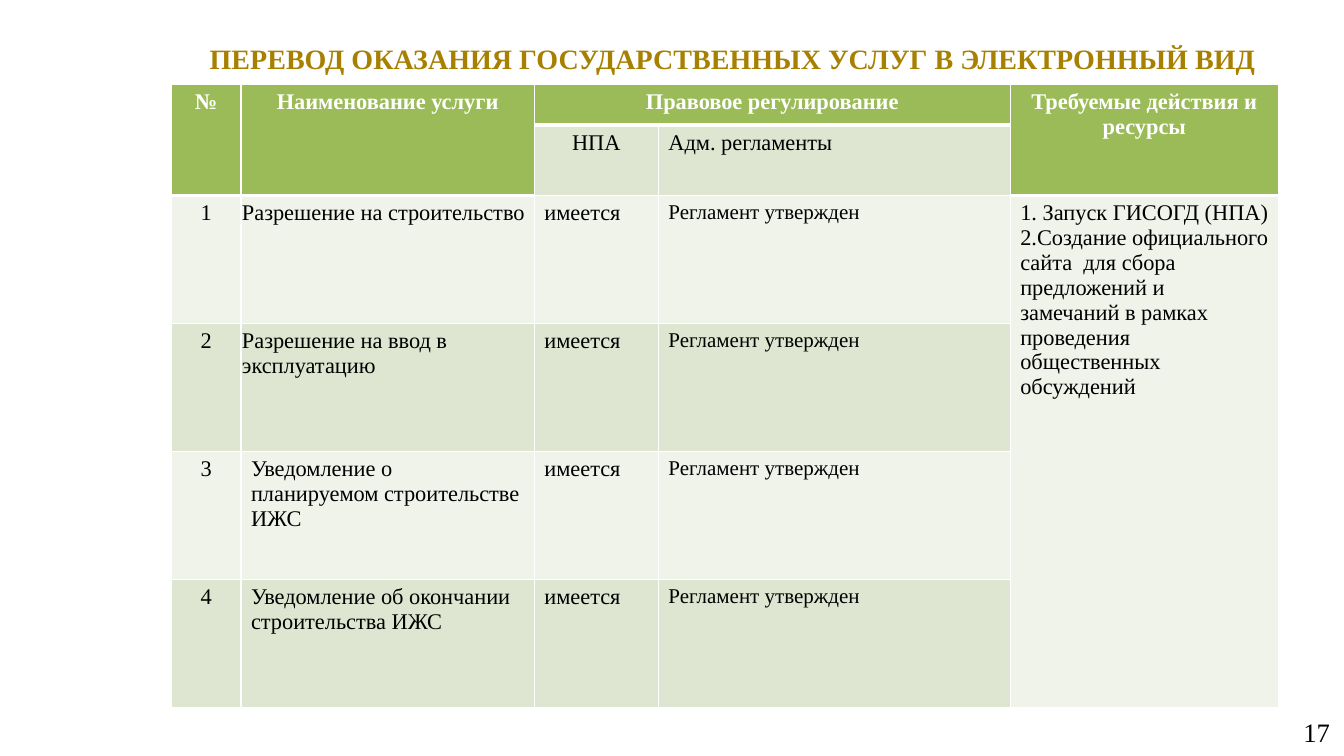
from lxml.etree import SubElement
from pptx import Presentation
from pptx.dml.color import RGBColor
from pptx.enum.text import MSO_ANCHOR as Anchor, MSO_AUTO_SIZE as AutoSize, PP_ALIGN as Align
from pptx.oxml.ns import qn
from pptx.util import Inches, Pt

WHITE, BLACK, GOLD = "FFFFFF", "000000", "A88000"
GREEN, SAGE, PALE = "9BBB59", "DEE6D1", "EFF3E9"


def write(frame, text, size=16, color=BLACK, bold=False, align=Align.LEFT):
    frame.word_wrap = True
    frame.text = text
    for paragraph in frame.paragraphs:
        paragraph.alignment = align
        for run in paragraph.runs:
            run.font.name = "Times New Roman"
            run.font.size = Pt(size)
            run.font.bold = bold
            run.font.color.rgb = RGBColor.from_string(color)


def style_cell(cell, fill, heavy_sides):
    properties = cell._tc.get_or_add_tcPr()
    for side in "LRTB":
        width = Pt(3 if side in heavy_sides else 0.96)
        line = SubElement(properties, qn(f"a:ln{side}"), w=str(width))
        SubElement(SubElement(line, qn("a:solidFill")), qn("a:srgbClr"), val=WHITE)
    cell.fill.solid()
    cell.fill.fore_color.rgb = RGBColor.from_string(fill)


deck = Presentation()
deck.slide_width, deck.slide_height = Inches(13.33), Inches(7.5)
slide = deck.slides.add_slide(deck.slide_layouts[5])

heading = slide.shapes.title
heading.left, heading.top = Inches(1.55), Inches(0.08)
heading.width, heading.height = Inches(11.43), Inches(0.99)
page_number = slide.shapes.add_textbox(Inches(10.22), Inches(7.07), Inches(3.1), Inches(0.39))
write(heading.text_frame, "ПЕРЕВОД ОКАЗАНИЯ ГОСУДАРСТВЕННЫХ УСЛУГ В ЭЛЕКТРОННЫЙ ВИД",
      size=20, color=GOLD, bold=True, align=Align.CENTER)
write(page_number.text_frame, "17", size=19, align=Align.RIGHT)
for frame in (heading.text_frame, page_number.text_frame):
    frame.auto_size = AutoSize.NONE
    frame.vertical_anchor = Anchor.MIDDLE
    frame.margin_left = frame.margin_right = Inches(0.13)
    frame.margin_top = frame.margin_bottom = Inches(0.07)

column_widths = [0.69, 2.91, 1.23, 3.49, 2.66]
row_heights = [0.4, 0.7] + [1.27] * 4
services = slide.shapes.add_table(
    len(row_heights), len(column_widths), Inches(1.7), Inches(0.84),
    Inches(sum(column_widths)), Inches(sum(row_heights))).table
for column, width in zip(services.columns, column_widths):
    column.width = Inches(width)
for row, height in zip(services.rows, row_heights):
    row.height = Inches(height)

header_columns = (0, 1, 4)
for r in range(len(row_heights)):
    for c in range(len(column_widths)):
        in_header = r == 0 or (r == 1 and c in header_columns)
        striped = r % 2 == 1 and c != 4
        fill = GREEN if in_header else SAGE if striped else PALE
        header_end = 1 if c in header_columns else 0
        heavy_sides = {header_end: "B", header_end + 1: "T"}.get(r, "")
        style_cell(services.cell(r, c), fill, heavy_sides)

for first, last in [((0, 0), (1, 0)), ((0, 1), (1, 1)), ((0, 2), (0, 3)),
                    ((0, 4), (1, 4)), ((2, 4), (5, 4))]:
    services.cell(*first).merge(services.cell(*last))

headers = {0: "№", 1: "Наименование услуги", 2: "Правовое регулирование",
           4: "Требуемые действия и ресурсы"}
for c, label in headers.items():
    write(services.cell(0, c).text_frame, label, color=WHITE, bold=True, align=Align.CENTER)
write(services.cell(1, 2).text_frame, "НПА", align=Align.CENTER)
write(services.cell(1, 3).text_frame, "Адм. регламенты")

service_names = ["Разрешение на строительство", "Разрешение на ввод в эксплуатацию",
                 "Уведомление о планируемом строительстве ИЖС",
                 "Уведомление об окончании строительства ИЖС"]
for number, service in enumerate(service_names, 1):
    number_cell, name_cell, act_cell, rules_cell = [services.cell(number + 1, c) for c in range(4)]
    write(number_cell.text_frame, str(number), align=Align.CENTER)
    write(name_cell.text_frame, service)
    write(act_cell.text_frame, "имеется")
    write(rules_cell.text_frame, "Регламент утвержден", size=15)
    if service.startswith("Разрешение"):
        name_cell.margin_left = name_cell.margin_right = Inches(0.01)

write(services.cell(2, 4).text_frame,
      "1. Запуск ГИСОГД (НПА)\n2.Создание официального сайта  для сбора предложений "
      "и замечаний в рамках проведения общественных обсуждений")

deck.save("out.pptx")
